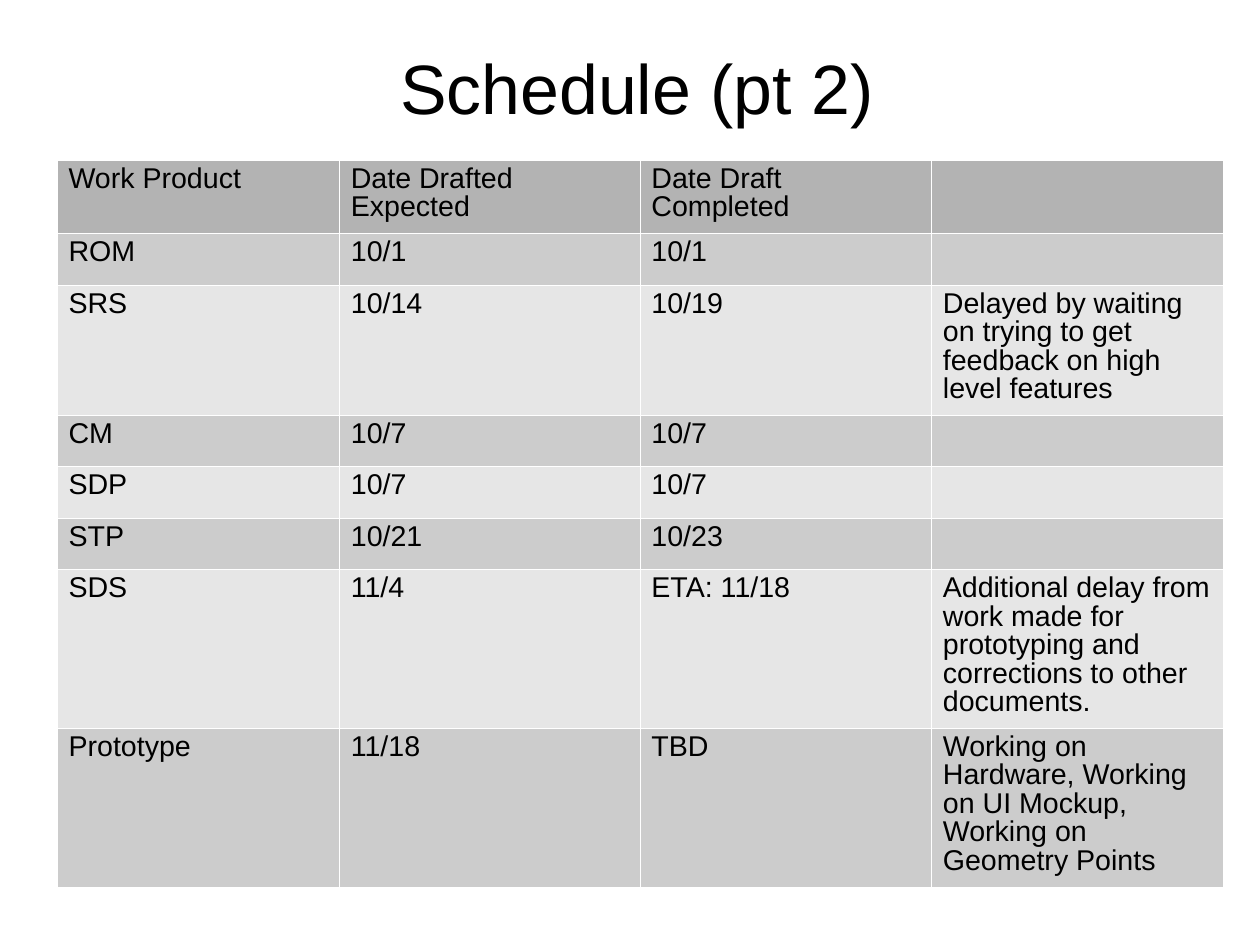
import pptx
import pptx.util
import pptx.dml.color
import pptx.enum.text
import pptx.oxml
import pptx.oxml.ns
from pptx.util import Inches


def color(value):
    return pptx.dml.color.RGBColor.from_string(value)


def write(frame, text, size=18, spacing=0.89, align=pptx.enum.text.PP_ALIGN.LEFT):
    frame.word_wrap = True
    para = frame.paragraphs[0]
    para.alignment = align
    para.line_spacing = spacing
    span = para.add_run()
    span.text = text
    span.font.name = "Arial"
    span.font.size = pptx.util.Pt(size)
    span.font.bold = False
    span.font.color.rgb = color("000000")


# Page of 28 by 21 cm
deck = pptx.Presentation()
deck.slide_width = Inches(28 / 2.54)
deck.slide_height = Inches(21 / 2.54)
page = deck.slides.add_slide(deck.slide_layouts[6])

# Schedule table
schedule = [
    ("Work Product", "Date Drafted Expected", "Date Draft Completed", ""),
    ("ROM", "10/1", "10/1", ""),
    ("SRS", "10/14", "10/19",
     "Delayed by waiting on trying to get feedback on high level features"),
    ("CM", "10/7", "10/7", ""),
    ("SDP", "10/7", "10/7", ""),
    ("STP", "10/21", "10/23", ""),
    ("SDS", "11/4", "ETA: 11/18",
     "Additional delay from work made for prototyping and corrections to other documents."),
    ("Prototype", "11/18", "TBD",
     "Working on Hardware, Working on UI Mockup, Working on Geometry Points"),
]
widths = [2.47, 2.63, 2.55, 2.55]
heights = [0.64, 0.45, 1.14, 0.45, 0.45, 0.45, 1.39, 1.39]

table = page.shapes.add_table(
    len(heights), len(widths), Inches(0.5), Inches(1.4),
    Inches(sum(widths)), Inches(sum(heights))).table
table.first_row = False
table.horz_banding = False
for column, width in zip(table.columns, widths):
    column.width = Inches(width)
for row, height in zip(table.rows, heights):
    row.height = Inches(height)

# Cell text, row shading and thin white borders
for r, entries in enumerate(schedule):
    shade = "B3B3B3" if r == 0 else ("E6E6E6", "CCCCCC")[r % 2]
    for c, text in enumerate(entries):
        cell = table.cell(r, c)
        if text:
            write(cell.text_frame, text)
        properties = cell._tc.get_or_add_tcPr()
        for side in ("lnL", "lnR", "lnT", "lnB"):
            properties.append(pptx.oxml.parse_xml(
                f'<a:{side} {pptx.oxml.ns.nsdecls("a")} w="762"><a:solidFill>'
                f'<a:srgbClr val="FFFFFF"/></a:solidFill></a:{side}>'))
        cell.fill.solid()
        cell.fill.fore_color.rgb = color(shade)

# Title
title = page.shapes.add_textbox(Inches(3.3), Inches(0.4), Inches(4.55), Inches(0.83))
write(title.text_frame, "Schedule (pt 2)", size=44, spacing=0.94,
      align=pptx.enum.text.PP_ALIGN.CENTER)

deck.save("out.pptx")
